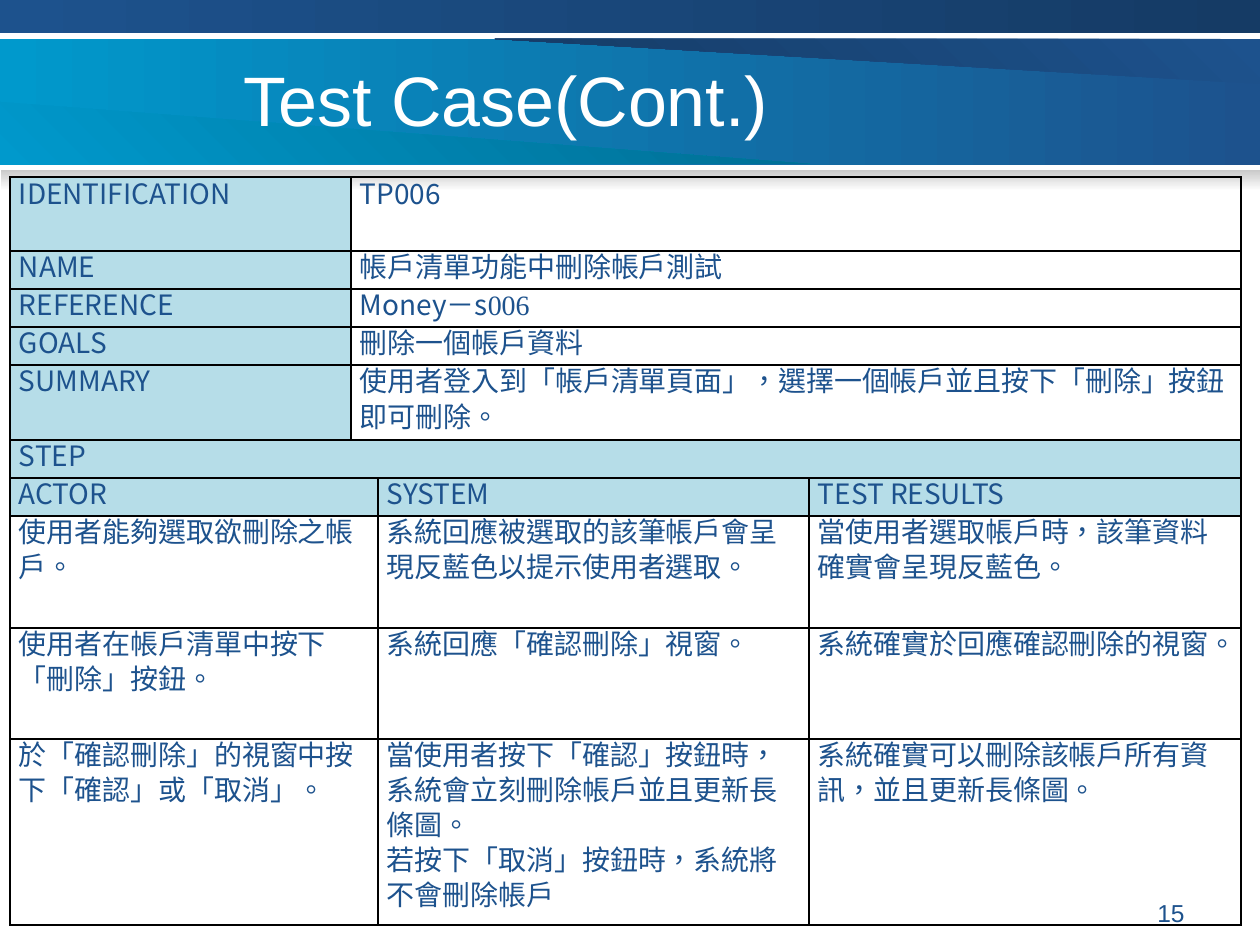
from dataclasses import dataclass
from lxml.etree import SubElement
from pptx import Presentation
from pptx.dml.color import RGBColor
from pptx.enum.shapes import MSO_SHAPE
from pptx.enum.text import MSO_ANCHOR, PP_ALIGN
from pptx.oxml.ns import qn
from pptx.util import Emu, Pt


@dataclass(frozen=True)
class Theme:
    blue: str = "1D528D"
    navy: str = "153B65"
    cyan: str = "0099CC"
    teal: str = "006D92"
    gray: str = "CACACA"
    white: str = "FFFFFF"
    black: str = "000000"
    label: str = "B6DDE8"
    sans: str = "Arial"
    serif: str = "Times New Roman"
    cjk: str = "Noto Sans CJK SC"
    title_size: int = 40
    number_size: int = 14
    cell_size: int = 16
    line_size: int = 20


THEME = Theme()
COLUMNS = [341, 27, 431, 432]
ROWS = [74, 38, 38, 38, 75, 38, 38, 112, 111, 186]
FIELDS = [
    ("IDENTIFICATION", [("TP006", THEME.cjk)]),
    ("NAME", [("帳戶清單功能中刪除帳戶測試", THEME.serif)]),
    ("REFERENCE", [("Money", THEME.cjk), ("－", THEME.serif), ("s", THEME.cjk), ("006", THEME.serif)]),
    ("GOALS", [("刪除一個帳戶資料", THEME.serif)]),
    ("SUMMARY", [("使用者登入到「帳戶清單頁面」，選擇一個帳戶並且按下「刪除」按鈕即可刪除。", THEME.serif)]),
]
HEADINGS = ["ACTOR", "SYSTEM", "TEST RESULTS"]
STEPS = [
    ["使用者能夠選取欲刪除之帳戶。",
     "系統回應被選取的該筆帳戶會呈現反藍色以提示使用者選取。",
     "當使用者選取帳戶時，該筆資料確實會呈現反藍色。"],
    ["使用者在帳戶清單中按下「刪除」按鈕。",
     "系統回應「確認刪除」視窗。",
     "系統確實於回應確認刪除的視窗。"],
    ["於「確認刪除」的視窗中按下「確認」或「取消」。",
     "當使用者按下「確認」按鈕時，系統會立刻刪除帳戶並且更新長條圖。\n若按下「取消」按鈕時，系統將不會刪除帳戶",
     "系統確實可以刪除該帳戶所有資訊，並且更新長條圖。"],
]


def px(length):
    return Emu(round(length * 914400 / 126))


def paint_gradient(shape, start, end, angle):
    shape.shadow.inherit = False
    shape.line.fill.background()
    shape.fill.gradient()
    shape.fill.gradient_angle = -angle % 360
    for stop, color in zip(shape.fill.gradient_stops, (start, end)):
        stop.color.rgb = RGBColor.from_string(color)


def add_band(page, area, start, end, angle=0):
    band = page.shapes.add_shape(MSO_SHAPE.RECTANGLE, *map(px, area))
    paint_gradient(band, start, end, angle)


def add_wedge(page, points, start, end, angle):
    first, *others = [(px(x), px(y)) for x, y in points]
    builder = page.shapes.build_freeform(*first)
    builder.add_line_segments(others, close=True)
    paint_gradient(builder.convert_to_shape(), start, end, angle)


def add_span(para, text, font, size, color):
    span = para.add_run()
    span.text = text
    span.font.size = Pt(size)
    span.font.color.rgb = RGBColor.from_string(color)
    span.font.name = font
    properties = span._r.get_or_add_rPr()
    properties.set("lang", "zh-TW")
    SubElement(properties, qn("a:ea"), typeface=THEME.cjk)


def add_text(page, area, text, size, color, align, anchor):
    box = page.shapes.add_textbox(*map(px, area))
    frame = box.text_frame
    frame.word_wrap = True
    frame.vertical_anchor = anchor
    para = frame.paragraphs[0]
    para.alignment = align
    add_span(para, text, THEME.sans, size, color)


def draw_borders(cell):
    properties = cell._tc.get_or_add_tcPr()
    for side in ("lnL", "lnR", "lnT", "lnB"):
        line = SubElement(properties, qn(f"a:{side}"), w=str(Pt(1)))
        fill = SubElement(line, qn("a:solidFill"))
        SubElement(fill, qn("a:srgbClr"), val=THEME.black)


def style_cell(cell):
    cell.margin_left = cell.margin_right = px(9)
    cell.margin_top = cell.margin_bottom = 0
    cell.text_frame.paragraphs[0].line_spacing = Pt(THEME.line_size)
    draw_borders(cell)
    cell.fill.background()


def write_cell(cell, paragraphs, fill=None):
    frame = cell.text_frame
    for index, spans in enumerate(paragraphs):
        para = frame.add_paragraph() if index else frame.paragraphs[0]
        para.line_spacing = Pt(THEME.line_size)
        for text, font in spans:
            add_span(para, text, font, THEME.cell_size, THEME.blue)
    if fill:
        cell.fill.solid()
        cell.fill.fore_color.rgb = RGBColor.from_string(fill)


def write_label(cell, text):
    write_cell(cell, [[(text, THEME.cjk)]], THEME.label)


def add_test_table(page):
    frame = page.shapes.add_table(len(ROWS), len(COLUMNS), px(10), px(177), px(sum(COLUMNS)), px(sum(ROWS)))
    table = frame.table
    table.first_row = table.horz_banding = False
    for column, width in zip(table.columns, COLUMNS):
        column.width = px(width)
    for row, height in zip(table.rows, ROWS):
        row.height = px(height)
    for cell in table.iter_cells():
        style_cell(cell)

    for row, (label, spans) in enumerate(FIELDS):
        table.cell(row, 1).merge(table.cell(row, 3))
        write_label(table.cell(row, 0), label)
        write_cell(table.cell(row, 1), [spans])

    step_row = len(FIELDS)
    table.cell(step_row, 0).merge(table.cell(step_row, 3))
    write_label(table.cell(step_row, 0), "STEP")

    for row, texts in enumerate([HEADINGS, *STEPS], step_row + 1):
        table.cell(row, 0).merge(table.cell(row, 1))
        for column, text in zip((0, 2, 3), texts):
            cell = table.cell(row, column)
            if texts is HEADINGS:
                write_label(cell, text)
            else:
                write_cell(cell, [[(part, THEME.serif)] for part in text.split("\n")])


def add_banner(page):
    add_band(page, (0, 39, 1261, 126), THEME.cyan, THEME.blue)
    add_wedge(page, [(495, 39), (1261, 84), (1261, 39)], THEME.blue, THEME.navy, 135)
    add_wedge(page, [(0, 102), (810, 164), (0, 164)], THEME.cyan, THEME.teal, 315)
    add_band(page, (0, 0, 1260, 33), THEME.blue, THEME.navy)
    add_band(page, (1, 170, 1259, 21), THEME.gray, THEME.white, 90)


def main():
    deck = Presentation()
    deck.slide_width, deck.slide_height = px(1260), px(945)
    page = deck.slides.add_slide(deck.slide_layouts[6])
    add_banner(page)
    add_text(page, (231, 38, 914, 120), "Test Case(Cont.)", THEME.title_size, THEME.white,
             PP_ALIGN.LEFT, MSO_ANCHOR.MIDDLE)
    add_test_table(page)
    add_text(page, (903, 892, 294, 34), "15", THEME.number_size, THEME.blue,
             PP_ALIGN.RIGHT, MSO_ANCHOR.TOP)
    deck.save("out.pptx")


if __name__ == "__main__":
    main()
